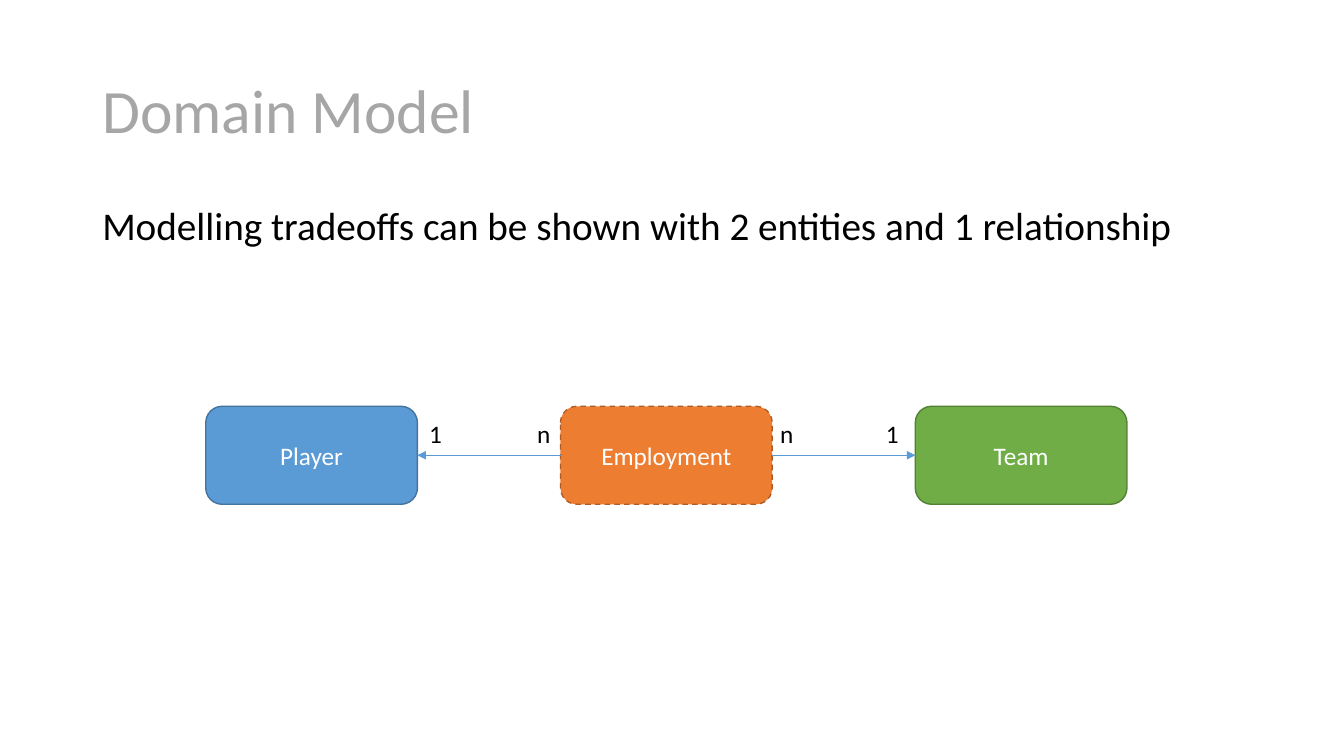
import pptx
import pptx.util
import pptx.dml.color
import pptx.enum.dml
import pptx.enum.shapes
import pptx.enum.text
import lxml.etree
import pptx.oxml.ns

Pt = pptx.util.Pt
RGB = pptx.dml.color.RGBColor.from_string
ANCHOR = pptx.enum.text.MSO_ANCHOR
qn = pptx.oxml.ns.qn

theme = {
    "font": "Calibri",
    "title": "A6A6A6", "text": "000000", "on_fill": "FFFFFF", "arrow": "5B9BD5",
    "player": ("5B9BD5", "43739E"),
    "employment": ("ED7D31", "AF5C24"),
    "team": ("70AD47", "538035"),
    "title_size": 44, "body_size": 28, "label_size": 18,
}


def write(tf, text, size, color):
    p = tf.paragraphs[0]
    p.text = text
    p.font.name = theme["font"]
    p.font.size = Pt(theme[size])
    p.font.color.rgb = RGB(theme[color])
    return p


prs = pptx.Presentation()
prs.slide_width, prs.slide_height = Pt(960), Pt(540)
s = prs.slides.add_slide(prs.slide_layouts[6])

# Title and statement
for text, top, height, anchor, size, color in [
    ("Domain Model", 28.8, 104.4, ANCHOR.MIDDLE, "title_size", "title"),
    ("Modelling tradeoffs can be shown with 2 entities and 1 relationship",
     144, 342.7, ANCHOR.TOP, "body_size", "text"),
]:
    tf = s.shapes.add_textbox(Pt(66), Pt(top), Pt(828), Pt(height)).text_frame
    tf.word_wrap = True
    tf.vertical_anchor = anchor
    write(tf, text, size, color).line_spacing = 0.9

# Entities, with the relationship between them dashed
left, top, width, height, pitch = 147, 290.2, 151.2, 70, 253.4
boxes = []
for i, name in enumerate(["Player", "Employment", "Team"]):
    sp = s.shapes.add_shape(pptx.enum.shapes.MSO_SHAPE.ROUNDED_RECTANGLE,
                            Pt(left + i * pitch), Pt(top), Pt(width), Pt(height))
    fill, line = theme[name.lower()]
    sp.shadow.inherit = False
    sp.fill.solid()
    sp.fill.fore_color.rgb = RGB(fill)
    sp.line.color.rgb = RGB(line)
    sp.line.width = Pt(1)
    sp.text_frame.vertical_anchor = ANCHOR.MIDDLE
    p = write(sp.text_frame, name, "label_size", "on_fill")
    p.alignment = pptx.enum.text.PP_ALIGN.CENTER
    boxes.append(sp)
player, employment, team = boxes
employment.line.dash_style = pptx.enum.dml.MSO_LINE.DASH

# Arrows from the relationship to each entity (sites: 1 left, 3 right)
for target, start_site, end_site in [(team, 3, 1), (player, 1, 3)]:
    cn = s.shapes.add_connector(pptx.enum.shapes.MSO_CONNECTOR.STRAIGHT, 0, 0, 0, 0)
    cn.begin_connect(employment, start_site)
    cn.end_connect(target, end_site)
    cn.line.color.rgb = RGB(theme["arrow"])
    cn.line.width = Pt(0.5)
    lxml.etree.SubElement(cn.line._get_or_add_ln(), qn("a:tailEnd"), type="triangle")
    lxml.etree.SubElement(cn._element.spPr, qn("a:effectLst"))

# Cardinalities
for text, x in [("1", 299.5), ("n", 376.6), ("n", 550.1), ("1", 625.7)]:
    tf = s.shapes.add_textbox(Pt(x), Pt(295.2), Pt(24), Pt(29)).text_frame
    tf.word_wrap = False
    tf.auto_size = pptx.enum.text.MSO_AUTO_SIZE.SHAPE_TO_FIT_TEXT
    write(tf, text, "label_size", "text")

prs.save("out.pptx")
